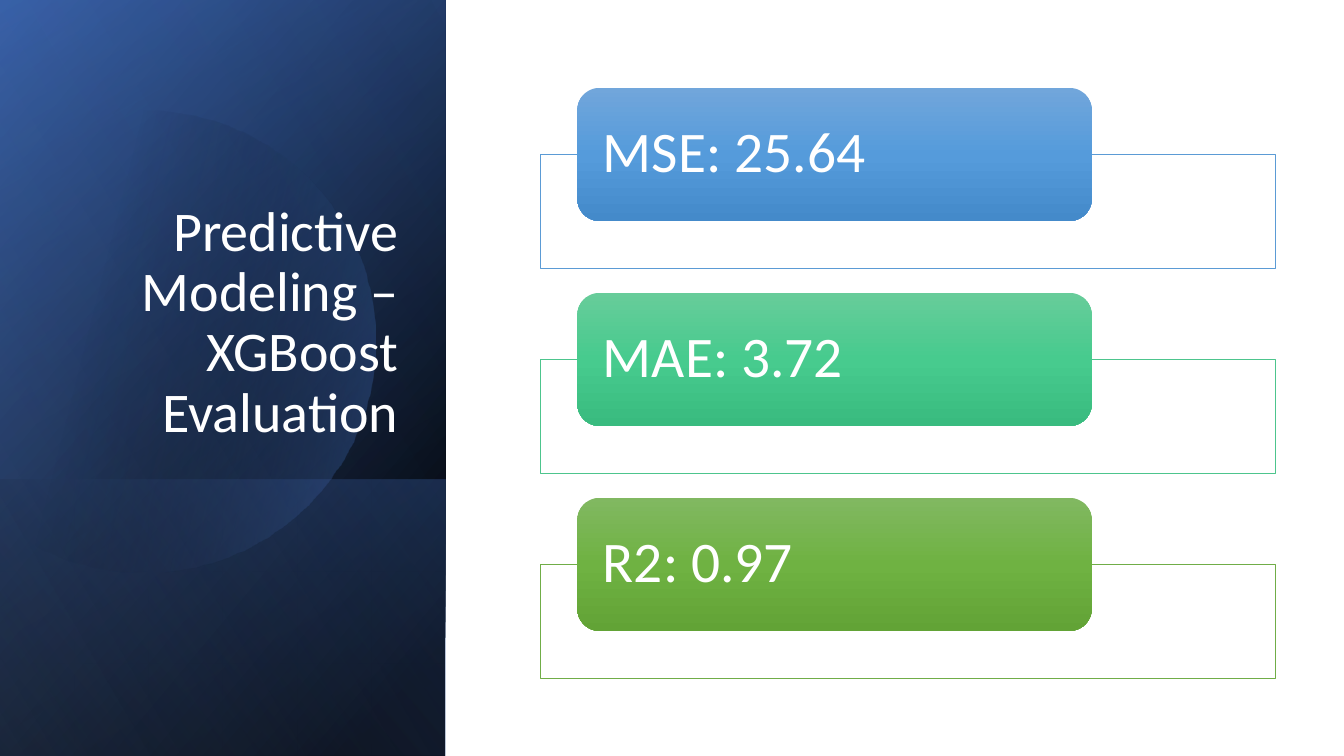
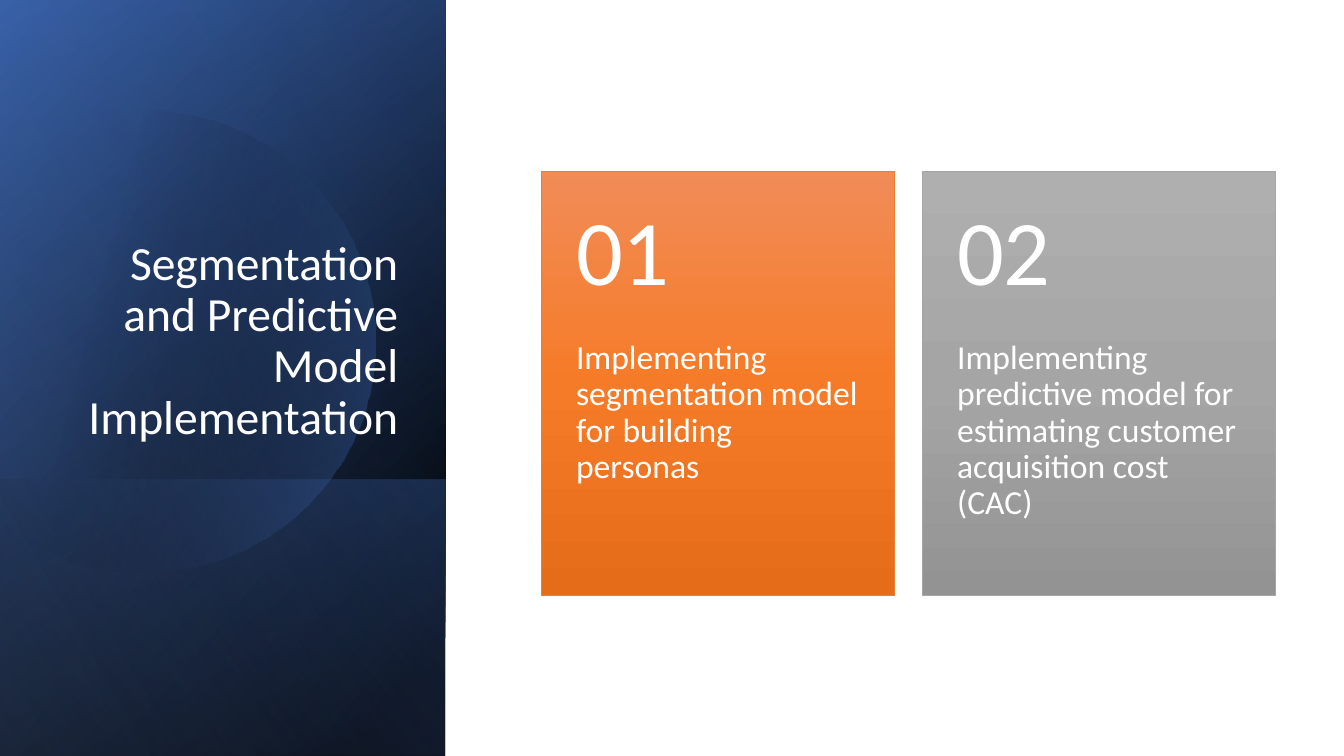
from math import acos, cos, pi, sin

from lxml.etree import SubElement
from pptx import Presentation
from pptx.dml.color import RGBColor
from pptx.enum.shapes import MSO_SHAPE as Shape
from pptx.enum.text import MSO_ANCHOR as Anchor, PP_ALIGN as Align
from pptx.oxml.ns import qn
from pptx.util import Pt

WHITE = RGBColor(0xFF, 0xFF, 0xFF)
BLACK = RGBColor(0x00, 0x00, 0x00)
NAVY = RGBColor(0x2F, 0x55, 0x97)
BLUE = RGBColor(0x44, 0x72, 0xC4)
PALE_BLUE = RGBColor(0x8F, 0xAA, 0xDC)
SKY = RGBColor(0x5B, 0x9B, 0xD5)
SKY_TOP = RGBColor(0x71, 0xA6, 0xDB)
SKY_MIDDLE = RGBColor(0x55, 0x9B, 0xDB)
SKY_BOTTOM = RGBColor(0x44, 0x8A, 0xCA)
MINT = RGBColor(0x4D, 0xC5, 0x8D)
MINT_TOP = RGBColor(0x67, 0xCC, 0x9A)
MINT_MIDDLE = RGBColor(0x47, 0xCB, 0x8E)
MINT_BOTTOM = RGBColor(0x39, 0xBB, 0x7F)
GREEN = RGBColor(0x70, 0xAD, 0x47)
GREEN_TOP = RGBColor(0x81, 0xB8, 0x61)
GREEN_MIDDLE = RGBColor(0x6F, 0xB2, 0x42)
GREEN_BOTTOM = RGBColor(0x62, 0xA3, 0x36)
ORANGE = RGBColor(0xED, 0x7D, 0x31)
ORANGE_TOP = RGBColor(0xF1, 0x8C, 0x57)
ORANGE_MIDDLE = RGBColor(0xF6, 0x7B, 0x28)
ORANGE_BOTTOM = RGBColor(0xE5, 0x6C, 0x19)
GRAY = RGBColor(0xA5, 0xA5, 0xA5)
GRAY_TOP = RGBColor(0xAF, 0xAF, 0xAF)
GRAY_BOTTOM = RGBColor(0x93, 0x93, 0x93)

FONT = "Calibri"
SLIDE_WIDTH, SLIDE_HEIGHT = 960, 540
PANEL_WIDTH = 318.2


def paint(shape, stops, angle, line=None):
    shape.shadow.inherit = False
    shape.fill.gradient()
    gradient = shape._element.spPr.find(qn("a:gradFill"))
    stop_list = gradient.find(qn("a:gsLst"))
    for old_stop in list(stop_list):
        stop_list.remove(old_stop)
    for position, color, opacity in stops:
        stop = SubElement(stop_list, qn("a:gs"), pos=str(position * 1000))
        fill = SubElement(stop, qn("a:srgbClr"), val=str(color))
        if opacity < 100:
            SubElement(fill, qn("a:alpha"), val=str(opacity * 1000))
    gradient.find(qn("a:lin")).set("ang", str(angle * 60000))
    if line is None:
        shape.line.fill.background()
    else:
        shape.line.color.rgb = line
        shape.line.width = Pt(0.5)


def write(shape, text, size, margins, anchor, align=Align.LEFT):
    frame = shape.text_frame
    frame.text = text
    frame.word_wrap = True
    frame.vertical_anchor = anchor
    frame.margin_left = frame.margin_right = Pt(margins[0])
    frame.margin_top, frame.margin_bottom = Pt(margins[1]), Pt(margins[2])
    para = frame.paragraphs[0]
    para.alignment = align
    para.line_spacing = 0.9
    span = para.runs[0]
    span.font.name = FONT
    span.font.size = Pt(size)
    span.font.color.rgb = WHITE


deck = Presentation()
deck.slide_width, deck.slide_height = Pt(SLIDE_WIDTH), Pt(SLIDE_HEIGHT)

PANEL_LAYERS = [
    (SLIDE_HEIGHT, [(8, BLACK, 100), (100, NAVY, 100)], 50),
    (SLIDE_HEIGHT, [(0, BLACK, 0), (99, BLUE, 46)], 30),
    (197.3, [(2, BLUE, 29), (100, BLACK, 30)], 130),
    (None, [(29, BLACK, 0), (100, BLUE, 43)], 14),
    (SLIDE_HEIGHT, [(0, BLACK, 0), (99, PALE_BLUE, 11)], 120),
]
CIRCLE_X, CIRCLE_Y, RADIUS = 103, 244, 165
ARC_STEPS = 120
arc_end = acos(-CIRCLE_X / RADIUS)
arc_angles = [arc_end * (2 * step / ARC_STEPS - 1) for step in range(ARC_STEPS + 1)]
arc = [(CIRCLE_X + RADIUS * cos(angle), CIRCLE_Y + RADIUS * sin(angle)) for angle in arc_angles]

TITLES = [
    ("Predictive Modeling – XGBoost Evaluation", 40),
    ("Segmentation and Predictive Model Implementation", 34),
]
pages = []
for title, title_size in TITLES:
    page = deck.slides.add_slide(deck.slide_layouts[6])
    pages.append(page)
    for height, stops, angle in PANEL_LAYERS:
        if height is None:
            builder = page.shapes.build_freeform(*arc[0], scale=Pt(1))
            builder.add_line_segments(arc[1:], close=True)
            layer = builder.convert_to_shape()
        else:
            left = (PANEL_WIDTH - height) / 2
            top = SLIDE_HEIGHT - (height + PANEL_WIDTH) / 2
            layer = page.shapes.add_shape(
                Shape.RECTANGLE, Pt(left), Pt(top), Pt(height), Pt(PANEL_WIDTH))
            layer.rotation = 90
            layer._element.spPr.find(qn("a:xfrm")).set("flipH", "1")
        paint(layer, stops, angle)
    box = page.shapes.add_textbox(Pt(46), Pt(132.5), Pt(245.5), Pt(188.6))
    write(box, title, title_size, (7.2, 3.6, 3.6), Anchor.BOTTOM, Align.RIGHT)

evaluation, implementation = pages

METRICS = [
    ("MSE: 25.64", SKY, (SKY_TOP, SKY_MIDDLE, SKY_BOTTOM)),
    ("MAE: 3.72", MINT, (MINT_TOP, MINT_MIDDLE, MINT_BOTTOM)),
    ("R2: 0.97", GREEN, (GREEN_TOP, GREEN_MIDDLE, GREEN_BOTTOM)),
]
METRIC_PITCH = 146.4
for index, (metric, outline, shades) in enumerate(METRICS):
    offset = index * METRIC_PITCH
    bracket = evaluation.shapes.add_shape(
        Shape.RECTANGLE, Pt(386), Pt(110.4 + offset), Pt(525), Pt(81.4))
    bracket.shadow.inherit = False
    bracket.fill.solid()
    bracket.fill.fore_color.rgb = WHITE
    bracket.line.color.rgb = outline
    bracket.line.width = Pt(0.5)
    pill = evaluation.shapes.add_shape(
        Shape.ROUNDED_RECTANGLE, Pt(412.4), Pt(62.8 + offset), Pt(367.4), Pt(95))
    paint(pill, [(at, shade, 100) for at, shade in zip((0, 50, 100), shades)], 90)
    write(pill, metric, 41, (13.6, 0, 0), Anchor.MIDDLE)

CARDS = [
    ("01", "Implementing segmentation model for building personas",
     ORANGE, (ORANGE_TOP, ORANGE_MIDDLE, ORANGE_BOTTOM)),
    ("02", "Implementing predictive model for estimating customer acquisition cost (CAC)",
     GRAY, (GRAY_TOP, GRAY, GRAY_BOTTOM)),
]
CARD_TOP, CARD_WIDTH, CARD_HEIGHT, CARD_PITCH = 122.2, 252.2, 302.8, 272.2
NUMBER_HEIGHT = CARD_HEIGHT * 0.4
for index, (number, text, outline, shades) in enumerate(CARDS):
    left = 386.6 + index * CARD_PITCH
    card = implementation.shapes.add_shape(
        Shape.RECTANGLE, Pt(left), Pt(CARD_TOP), Pt(CARD_WIDTH), Pt(CARD_HEIGHT))
    paint(card, [(at, shade, 100) for at, shade in zip((0, 50, 100), shades)], 90, outline)
    write(card, text, 24, (24.9, NUMBER_HEIGHT, 25.9), Anchor.TOP)
    box = implementation.shapes.add_textbox(
        Pt(left), Pt(CARD_TOP), Pt(CARD_WIDTH), Pt(NUMBER_HEIGHT))
    write(box, number, 66, (24.9, 13, 13), Anchor.MIDDLE)

deck.save("out.pptx")
